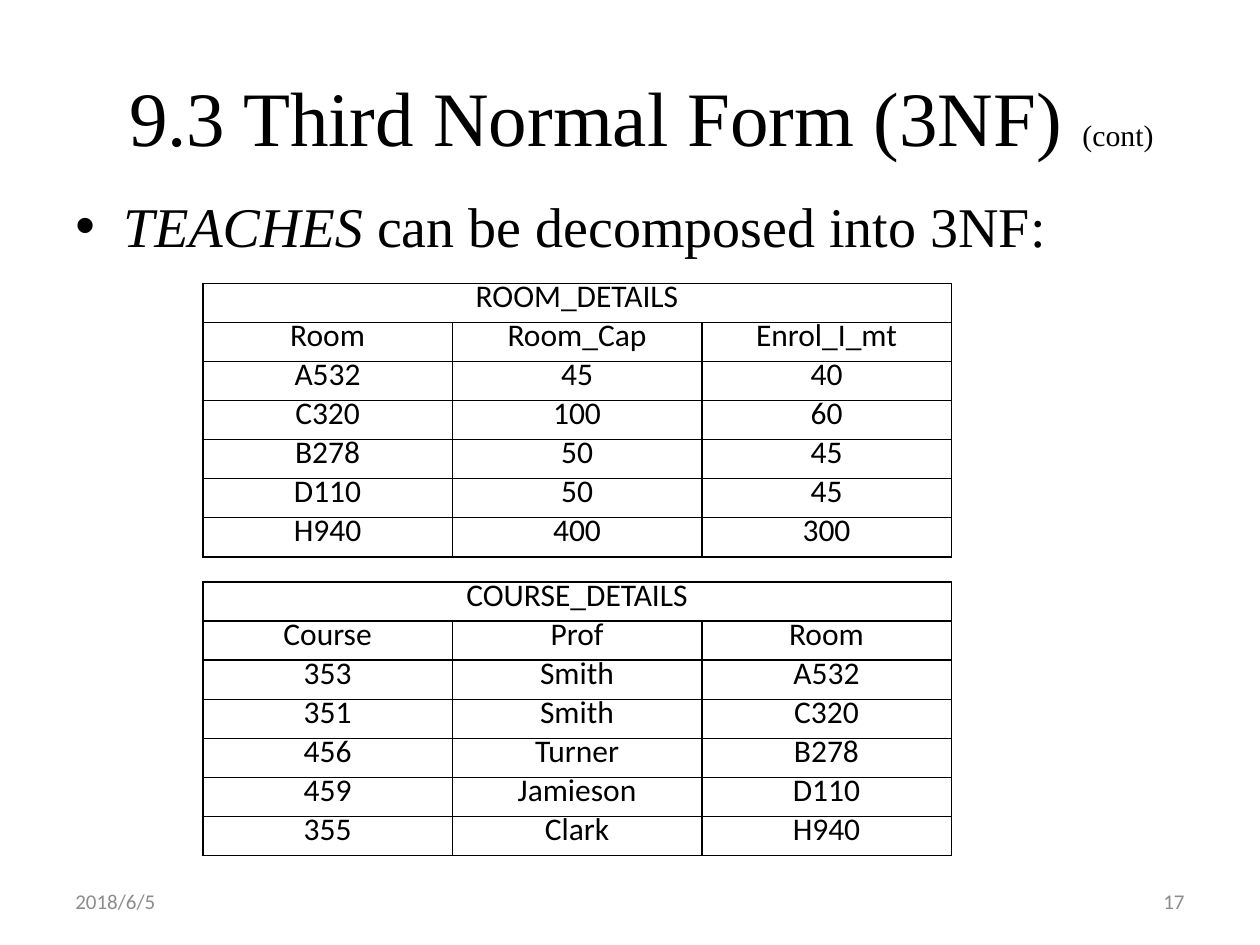
import pptx
import pptx.util
import pptx.dml.color
import pptx.enum.text
from pptx.oxml.ns import qn
from lxml import etree

Inches, Pt = pptx.util.Inches, pptx.util.Pt
ALIGN = pptx.enum.text.PP_ALIGN
MIDDLE = pptx.enum.text.MSO_ANCHOR.MIDDLE

COLORS = {"ink": "000000", "footer": "8C8C8C"}
SERIF, SANS = "Times New Roman", "Calibri"
ROW_H, COL_W, TABLE_LEFT = 0.31, 1.98, 1.61

ROOMS = [
    ("ROOM_DETAILS", "", ""),
    ("Room", "Room_Cap", "Enrol_I_mt"),
    ("A532", "45", "40"),
    ("C320", "100", "60"),
    ("B278", "50", "45"),
    ("D110", "50", "45"),
    ("H940", "400", "300"),
]
COURSES = [
    ("COURSE_DETAILS", "", ""),
    ("Course", "Prof", "Room"),
    ("353", "Smith", "A532"),
    ("351", "Smith", "C320"),
    ("456", "Turner", "B278"),
    ("459", "Jamieson", "D110"),
    ("355", "Clark", "H940"),
]


def add_run(p, text, size, font, color="ink", italic=False):
    r = p.add_run()
    r.text = text
    for name, value in {"size": Pt(size), "name": font, "italic": italic}.items():
        setattr(r.font, name, value)
    r.font.color.rgb = pptx.dml.color.RGBColor.from_string(COLORS[color])


def add_text_box(s, left, top, width, height):
    """Add a wrapping text box and return its text frame."""
    tf = s.shapes.add_textbox(*map(Inches, (left, top, width, height))).text_frame
    tf.word_wrap = True
    return tf


def set_title(s):
    title = s.shapes.title
    box = {"left": 0.59, "top": 0.29, "width": 9, "height": 1.25}
    for name, value in box.items():
        setattr(title, name, Inches(value))
    tf = title.text_frame
    tf.auto_size = pptx.enum.text.MSO_AUTO_SIZE.NONE
    tf.vertical_anchor = MIDDLE
    p = tf.paragraphs[0]
    p.alignment = ALIGN.CENTER
    add_run(p, "9.3 Third Normal Form (3NF) ", 44, SERIF)
    add_run(p, "(cont)", 17, SERIF)


def add_bullet(s):
    p = add_text_box(s, 0.5, 1.47, 9, 0.7).paragraphs[0]
    p.space_before = Pt(4)
    add_run(p, "TEACHES", 32, SERIF, italic=True)
    add_run(p, " can be decomposed into 3NF:", 32, SERIF)
    pPr = p._p.get_or_add_pPr()
    pPr.set("marL", str(Inches(0.38)))
    pPr.set("indent", str(-Inches(0.38)))
    etree.SubElement(pPr, qn("a:buFont"), typeface="Arial")
    etree.SubElement(pPr, qn("a:buChar"), char="•")


def set_borders(cell):
    tcPr = cell._tc.get_or_add_tcPr()
    for i, side in enumerate(("lnL", "lnR", "lnT", "lnB")):
        ln = etree.Element(qn(f"a:{side}"), w=str(Pt(1)))
        fill = etree.SubElement(ln, qn("a:solidFill"))
        etree.SubElement(fill, qn("a:srgbClr"), val=COLORS["ink"])
        tcPr.insert(i, ln)


def add_relation(s, top, rows):
    """Add a table whose first row is a heading across all columns."""
    n_rows, n_cols = len(rows), len(rows[0])
    size = (TABLE_LEFT, top, n_cols * COL_W, n_rows * ROW_H)
    table = s.shapes.add_table(n_rows, n_cols, *map(Inches, size)).table
    table.first_row = table.horz_banding = False
    for i, row in enumerate(rows):
        for j, text in enumerate(row):
            cell = table.cell(i, j)
            cell.fill.background()
            set_borders(cell)
            p = cell.text_frame.paragraphs[0]
            p.alignment = ALIGN.CENTER
            p.line_spacing = Pt(15)
            if text:
                add_run(p, text, 18, SANS)
    table.cell(0, 0).merge(table.cell(0, n_cols - 1))


def add_footer(s, left, text, align):
    tf = add_text_box(s, left, 6.95, 2.33, 0.4)
    tf.vertical_anchor = MIDDLE
    p = tf.paragraphs[0]
    p.alignment = align
    add_run(p, text, 12, SANS, "footer")


def main():
    prs = pptx.Presentation()
    prs.slide_width, prs.slide_height = Inches(10), Inches(7.5)
    s = prs.slides.add_slide(prs.slide_layouts[5])
    set_title(s)
    add_bullet(s)
    add_relation(s, 2.25, ROOMS)
    add_relation(s, 4.62, COURSES)
    add_footer(s, 0.5, "2018/6/5", ALIGN.LEFT)
    add_footer(s, 7.17, "17", ALIGN.RIGHT)
    prs.save("out.pptx")


if __name__ == "__main__":
    main()
